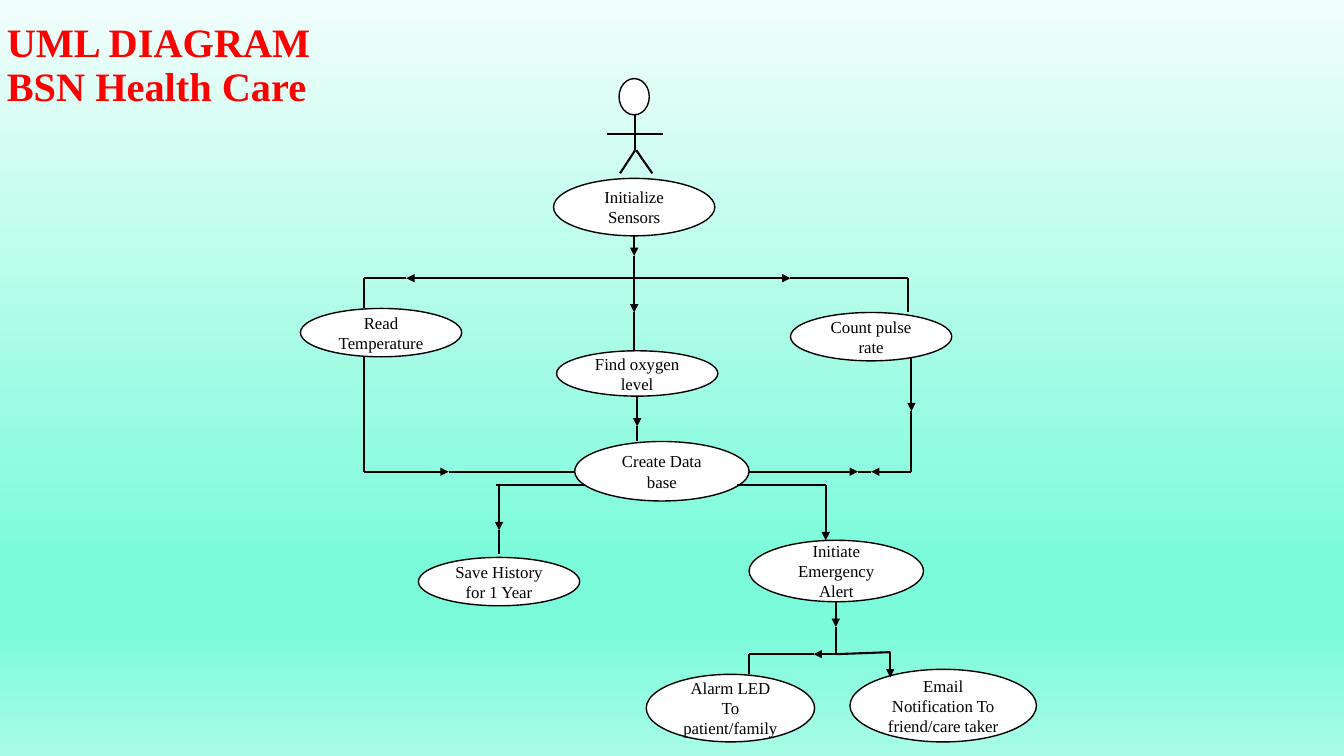
from dataclasses import dataclass
from itertools import pairwise

from lxml.etree import SubElement
from pptx import Presentation
from pptx.dml.color import RGBColor
from pptx.enum.shapes import MSO_CONNECTOR as Connector, MSO_SHAPE as Shape
from pptx.enum.text import MSO_ANCHOR as Anchor, PP_ALIGN as Align
from pptx.oxml.ns import qn
from pptx.util import Inches, Pt


@dataclass(frozen=True)
class Theme:
    font: str = "Times New Roman"
    title_size: float = 28.8
    label_size: float = 12
    outline: float = 1
    stroke: float = 1.5
    title: str = "FF0000"
    ink: str = "000000"
    paper: str = "FFFFFF"
    backdrop: tuple = ((0, "F1FEFB"), (74, "7CFBDA"), (83, "7CFBDA"), (100, "A8FCE6"))


THEME = Theme()
ARROW = True  # third item of a route point: the segment ends there in an arrowhead

# Use cases: label, then left, top, width, height within their region
SENSING_CASES = [
    ("Initialize Sensors", 2.51, 0, 1.6, 0.57),
    ("Count pulse rate", 4.86, 1.33, 1.6, 0.48),
    ("Find oxygen level", 2.54, 1.71, 1.6, 0.45),
    ("Read Temperature", 0, 1.29, 1.6, 0.48),
    ("Create Data base", 2.72, 2.61, 1.73, 0.59),
]
RESPONSE_CASES = [
    ("Alarm LED To patient/family", 2.26, 1.88, 1.67, 0.67),
    ("Initiate Emergency Alert", 3.28, 0.55, 1.73, 0.61),
    ("Save History for 1 Year", 0, 0.72, 1.6, 0.48),
    ("Email Notification To friend/care taker", 4.28, 1.83, 1.85, 0.72),
]

# Routes: the points each flow passes through
SENSING_ROUTES = [
    # From the sensors down to the oxygen level
    [(3.31, 0.56), (3.31, 0.77, ARROW), (3.31, 0.99), (3.31, 1.33, ARROW), (3.31, 1.7)],
    # Branches to temperature and pulse
    [(1.71, 0.99), (1.05, 0.99, ARROW), (0.63, 0.99), (0.63, 1.29)],
    [(1.71, 0.99), (4.11, 0.99), (4.86, 0.99, ARROW), (6.03, 0.99), (6.03, 1.33)],
    # Readings into the data base
    [(3.34, 2.16), (3.34, 2.46, ARROW), (3.34, 2.61)],
    [(0.63, 1.77), (0.63, 2.91), (1.47, 2.91, ARROW), (2.72, 2.91)],
    [(6.06, 1.77), (6.06, 2.31, ARROW), (6.06, 2.91), (5.66, 2.91, ARROW)],
    [(4.45, 2.91), (5.53, 2.91, ARROW), (5.66, 2.91)],
]
RESPONSE_ROUTES = [
    # From the data base to the history
    [(1.65, 0), (0.77, 0)],
    [(0.8, 0), (0.8, 0.45, ARROW), (0.8, 0.69)],
    # From the data base to the alert
    [(3.16, 0), (4.04, 0), (4.04, 0.55, ARROW)],
    [(4.14, 1.16), (4.14, 1.41, ARROW), (4.14, 1.68)],
    # From the alert to the LED and the e-mail
    [(4.14, 1.68), (3.92, 1.68, ARROW), (3.28, 1.68), (3.28, 1.88)],
    [(4.14, 1.68), (4.68, 1.66), (4.68, 1.91, ARROW)],
]


def color(code):
    return RGBColor.from_string(code)


def set_font(paragraph, size, code, bold=False):
    font = paragraph.font
    font.name, font.size, font.bold = THEME.font, Pt(size), bold
    font.color.rgb = color(code)


def paint_backdrop(slide):
    fill = slide.background.fill
    fill.gradient()
    fill.gradient_angle = 270
    stops = next(slide.element.iter(qn("a:gsLst")))
    for stop in list(stops):
        stops.remove(stop)
    for percent, code in THEME.backdrop:
        stop = SubElement(stops, qn("a:gs"), pos=str(percent * 1000))
        SubElement(stop, qn("a:srgbClr"), val=code)


def add_ellipse(slide, left, top, width, height):
    ellipse = slide.shapes.add_shape(Shape.OVAL, *map(Inches, (left, top, width, height)))
    ellipse.shadow.inherit = False
    ellipse.fill.solid()
    ellipse.fill.fore_color.rgb = color(THEME.paper)
    ellipse.line.color.rgb = color(THEME.ink)
    ellipse.line.width = Pt(THEME.outline)
    return ellipse


def add_route(slide, left, top, points):
    for (x1, y1, *_), (x2, y2, *arrow) in pairwise(points):
        ends = (left + x1, top + y1, left + x2, top + y2)
        segment = slide.shapes.add_connector(Connector.STRAIGHT, *map(Inches, ends))
        segment.line.color.rgb = color(THEME.ink)
        segment.line.width = Pt(THEME.stroke)
        if arrow:
            SubElement(segment.line._get_or_add_ln(), qn("a:tailEnd"), type="triangle")
        SubElement(segment._element.spPr, qn("a:effectLst"))


def add_title(slide, left, top, width, height):
    frame = slide.shapes.add_textbox(*map(Inches, (left, top, width, height))).text_frame
    frame.word_wrap = True
    frame.vertical_anchor = Anchor.BOTTOM
    heading = frame.paragraphs[0]
    heading.text = "UML DIAGRAM\vBSN Health Care"
    heading.line_spacing = 0.9
    set_font(heading, THEME.title_size, THEME.title, bold=True)


def add_actor(slide, left, top, width, height):
    middle, neck, arms, hips = width / 2, 0.36, 0.55, 0.71
    add_ellipse(slide, left + middle - 0.16, top, 0.3, neck)
    limbs = [
        [(0, arms), (width, arms)],
        [(middle, neck), (middle, hips)],
        [(middle, hips), (middle - 0.15, height)],
        [(middle + 0.01, hips), (middle + 0.17, height)],
    ]
    for limb in limbs:
        add_route(slide, left, top, limb)


def add_flow(slide, left, top, cases, routes):
    for label, x, y, width, height in cases:
        frame = add_ellipse(slide, left + x, top + y, width, height).text_frame
        frame.word_wrap = True
        frame.vertical_anchor = Anchor.MIDDLE
        caption = frame.paragraphs[0]
        caption.text = label
        caption.alignment = Align.CENTER
        set_font(caption, THEME.label_size, THEME.ink)
    for route in routes:
        add_route(slide, left, top, route)


def main():
    deck = Presentation()
    deck.slide_width, deck.slide_height = Inches(13.33), Inches(7.5)
    slide = deck.slides.add_slide(deck.slide_layouts[6])
    paint_backdrop(slide)
    add_title(slide, -0.03, 0.16, 3.56, 0.98)
    add_actor(slide, 6.02, 0.78, 0.56, 0.94)
    add_flow(slide, 2.98, 1.77, SENSING_CASES, SENSING_ROUTES)
    add_flow(slide, 4.15, 4.81, RESPONSE_CASES, RESPONSE_ROUTES)
    deck.save("out.pptx")


if __name__ == "__main__":
    main()
